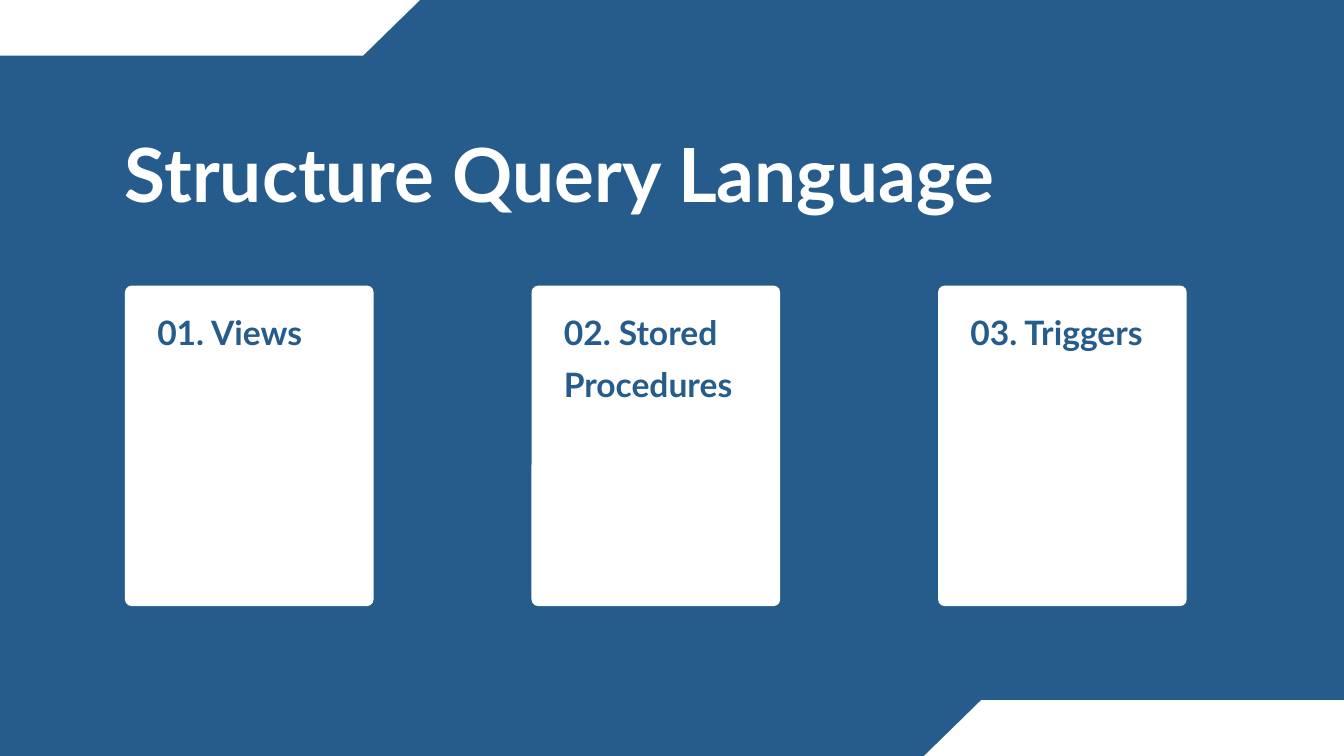
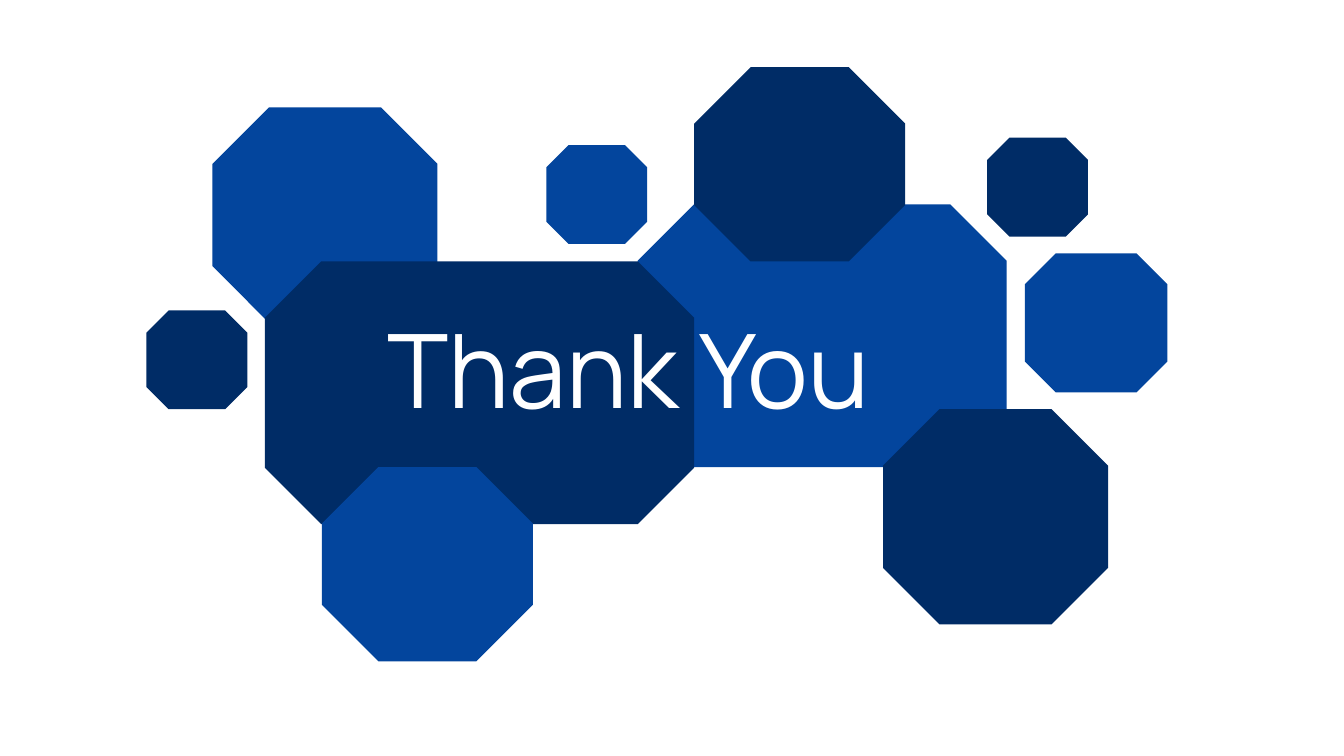
from dataclasses import dataclass

from pptx import Presentation
from pptx.dml.color import RGBColor
from pptx.enum.shapes import MSO_SHAPE
from pptx.enum.text import MSO_AUTO_SIZE, PP_ALIGN
from pptx.util import Inches, Pt

WHITE = RGBColor(0xFF, 0xFF, 0xFF)
STEEL = RGBColor(0x25, 0x5C, 0x8C)
ROYAL = RGBColor(0x03, 0x45, 0x9D)
NAVY = RGBColor(0x00, 0x2C, 0x66)

HEADING_FONT = "Lato"
CLOSING_FONT = "Manrope"

# The slide is a grid of square cells
COLS, ROWS = 20, 11.25
CELL = Inches(1)


@dataclass
class Box:
    """A region of the slide, measured in grid cells."""
    col: float
    row: float
    cols: float
    rows: float

    def inner(self, col, row, cols, rows):
        return Box(self.col + col, self.row + row, cols, rows)

    def place(self):
        return [round(n * CELL) for n in (self.col, self.row, self.cols, self.rows)]


PAGE = Box(0, 0, COLS, ROWS)


def add_page(deck, background):
    page = deck.slides.add_slide(deck.slide_layouts[6])
    page.background.fill.solid()
    page.background.fill.fore_color.rgb = background
    return page


def add_panel(page, box, outline, corner, color):
    """Plain filled shape; corner is the length of its cut, slant or radius."""
    panel = page.shapes.add_shape(outline, *box.place())
    panel.adjustments[0] = corner / min(box.cols, box.rows)
    panel.fill.solid()
    panel.fill.fore_color.rgb = color
    panel.line.fill.background()
    panel.shadow.inherit = False


def add_words(page, box, words, size, leading, color, font, bold=None,
              align=PP_ALIGN.LEFT):
    frame = page.shapes.add_textbox(*box.place()).text_frame
    frame.margin_left = frame.margin_top = 0
    frame.margin_right = frame.margin_bottom = 0
    frame.word_wrap = True
    frame.auto_size = MSO_AUTO_SIZE.SHAPE_TO_FIT_TEXT
    paragraph = frame.paragraphs[0]
    paragraph.alignment = align
    paragraph.line_spacing = Pt(leading)
    run = paragraph.add_run()
    run.text = words
    run.font.size = Pt(size)
    run.font.name = font
    run.font.bold = bold
    run.font.color.rgb = color


def add_corner_bands(page, box):
    """Slanted bands that bleed off the top left and bottom right corners."""
    cols, rows, slant, bleed = 7.29, 0.83, 0.85, 1.04
    for col, row in ((-bleed, 0), (box.cols + bleed - cols, box.rows - rows)):
        add_panel(page, box.inner(col, row, cols, rows),
                  MSO_SHAPE.PARALLELOGRAM, slant, WHITE)


def add_topic_card(page, box, topic, lines):
    add_panel(page, box, MSO_SHAPE.ROUNDED_RECTANGLE, 0.1, WHITE)
    add_words(page, box.inner(0.48, 0.2, 3.05, lines * 0.78), topic,
              36, 56.5, STEEL, HEADING_FONT, bold=True)


def build_topics(deck, box):
    page = add_page(deck, STEEL)
    add_corner_bands(page, box)

    # Three cards at an equal step
    left, step = 1.86, 6.05
    topics = (("01. Views", 1), ("02. Stored Procedures", 2), ("03. Triggers", 1))
    for index, (topic, lines) in enumerate(topics):
        add_topic_card(page, box.inner(left + index * step, 4.25, 3.7, 4.77),
                       topic, lines)

    add_words(page, box.inner(left, 2.13, 14.06, 1.12), "Structure Query Language",
              80, 80, WHITE, HEADING_FONT, bold=True)


def add_octagon_cluster(page, box):
    # Sizes: columns, rows, corner cut
    wide, broad = (6.39, 3.91, 0.84), (5.49, 3.91, 0.84)
    large, medium = (3.35, 3.2, 0.84), (3.14, 2.89, 0.84)
    small, tiny = (2.12, 2.07, 0.46), (1.5, 1.47, 0.33)
    cluster = (
        (9.49, 3.04, broad, ROYAL),
        (3.16, 1.6, large, ROYAL),
        (13.14, 6.09, large, NAVY),
        (3.94, 3.89, wide, NAVY),
        (4.79, 6.95, medium, ROYAL),
        (10.33, 1, medium, NAVY),
        (2.18, 4.62, tiny, NAVY),
        (8.13, 2.16, tiny, ROYAL),
        (14.69, 2.05, tiny, NAVY),
        (15.25, 3.77, small, ROYAL),
    )
    for col, row, (cols, rows, cut), color in cluster:
        add_panel(page, box.inner(col, row, cols, rows),
                  MSO_SHAPE.OCTAGON, cut, color)


def build_closing(deck, box):
    page = add_page(deck, WHITE)
    add_octagon_cluster(page, box)
    add_words(page, box.inner(3.73, 4.25, 11.25, 2.17), "Thank You",
              110, 154, WHITE, CLOSING_FONT, align=PP_ALIGN.CENTER)


def main():
    deck = Presentation()
    deck.slide_width = round(COLS * CELL)
    deck.slide_height = round(ROWS * CELL)
    build_topics(deck, PAGE)
    build_closing(deck, PAGE)
    deck.save("out.pptx")


if __name__ == "__main__":
    main()
